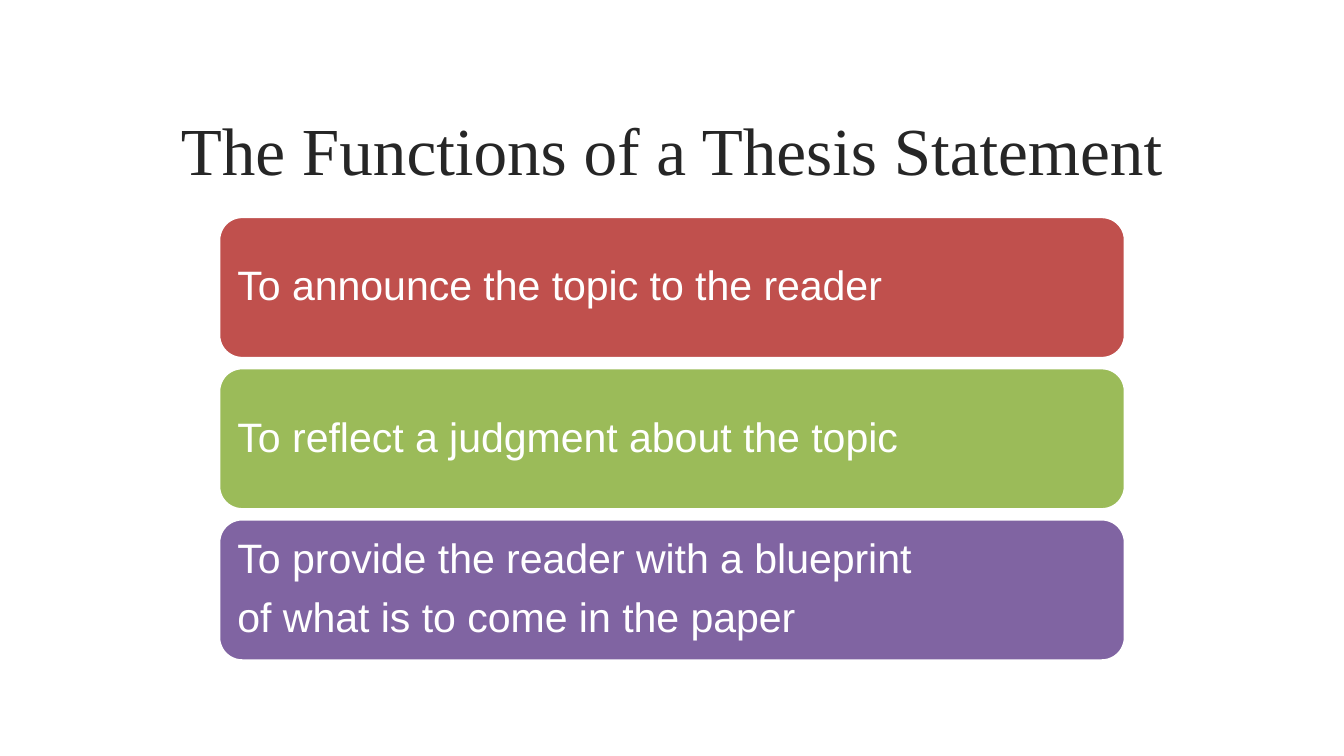
from dataclasses import dataclass

from pptx import Presentation
from pptx.dml.color import RGBColor
from pptx.enum.shapes import MSO_SHAPE
from pptx.enum.text import MSO_ANCHOR, PP_ALIGN
from pptx.shapes.autoshape import Shape
from pptx.slide import Slide
from pptx.util import Inches, Pt

ROUNDED = MSO_SHAPE.ROUNDED_RECTANGLE
TOP, MIDDLE = MSO_ANCHOR.TOP, MSO_ANCHOR.MIDDLE
LEFT, CENTER = PP_ALIGN.LEFT, PP_ALIGN.CENTER


@dataclass(frozen=True)
class Theme:
    title_font: str = "Times New Roman"
    body_font: str = "Arial"
    title_size: float = 36
    body_size: float = 22
    ink: str = "262626"
    white: str = "FFFFFF"
    red: str = "C0504D"
    green: str = "9BBB59"
    purple: str = "8064A2"


@dataclass(frozen=True)
class ThesisFunction:
    lines: tuple[str, ...]
    fill: str


THEME = Theme()
FUNCTIONS = (
    ThesisFunction(("To announce the topic to the reader",), THEME.red),
    ThesisFunction(("To reflect a judgment about the topic",), THEME.green),
    ThesisFunction(("To provide the reader with a blueprint",
                    "of what is to come in the paper"), THEME.purple),
)
SLIDE_WIDTH = Inches(10)
SLIDE_HEIGHT = SLIDE_WIDTH * 9 // 16
BAR_WIDTH, BAR_HEIGHT = Inches(6.75), Inches(1.06)
BAR_LEFT = (SLIDE_WIDTH - BAR_WIDTH) // 2
BAR_TOP = Inches(1.61)
BAR_PITCH = SLIDE_HEIGHT // 5


def write_text(shape: Shape, lines: tuple[str, ...], *, font: str, size: float,
               color: str, align: PP_ALIGN = LEFT, anchor: MSO_ANCHOR = MIDDLE,
               inset: float = 0.09, line_spacing: float = 1.0,
               space_after: float = 0) -> None:
    frame = shape.text_frame
    frame.word_wrap = True
    frame.vertical_anchor = anchor
    frame.margin_left = frame.margin_right = Inches(inset)
    frame.margin_top = frame.margin_bottom = Inches(inset)
    frame.text = "\n".join(lines)
    for paragraph in frame.paragraphs:
        paragraph.alignment = align
        paragraph.line_spacing = line_spacing
        paragraph.space_after = Pt(space_after)
        for run in paragraph.runs:
            run.font.name = font
            run.font.size = Pt(size)
            run.font.color.rgb = RGBColor.from_string(color)


def add_title(slide: Slide, title: str) -> None:
    heading = slide.shapes.add_textbox(Inches(0.6), Inches(0.75),
                                       Inches(8.8), Inches(0.8))
    write_text(heading, (title,), font=THEME.title_font, size=THEME.title_size,
               color=THEME.ink, align=CENTER, anchor=TOP, inset=0.06)


def add_function_bar(slide: Slide, function: ThesisFunction, top: int) -> None:
    bar = slide.shapes.add_shape(ROUNDED, BAR_LEFT, top, BAR_WIDTH, BAR_HEIGHT)
    bar.shadow.inherit = False
    bar.fill.solid()
    bar.fill.fore_color.rgb = RGBColor.from_string(function.fill)
    bar.line.color.rgb = RGBColor.from_string(THEME.white)
    bar.line.width = Pt(2)
    write_text(bar, function.lines, font=THEME.body_font, size=THEME.body_size,
               color=THEME.white, line_spacing=0.9, space_after=8)


def main() -> None:
    presentation = Presentation()
    presentation.slide_width = SLIDE_WIDTH
    presentation.slide_height = SLIDE_HEIGHT
    slide = presentation.slides.add_slide(presentation.slide_layouts[6])
    add_title(slide, "The Functions of a Thesis Statement")
    for row, function in enumerate(FUNCTIONS):
        add_function_bar(slide, function, BAR_TOP + row * BAR_PITCH)
    presentation.save("out.pptx")


if __name__ == "__main__":
    main()
